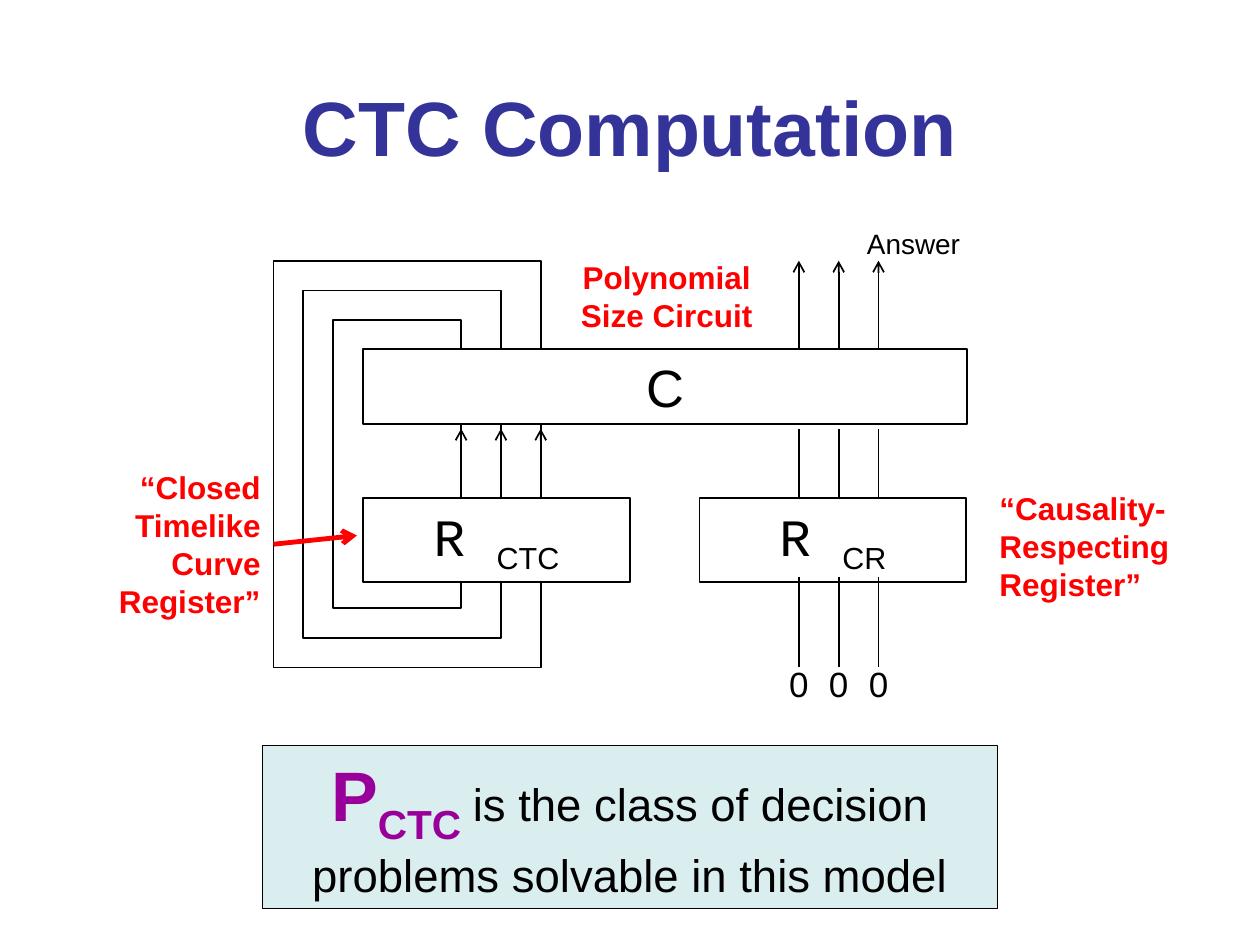
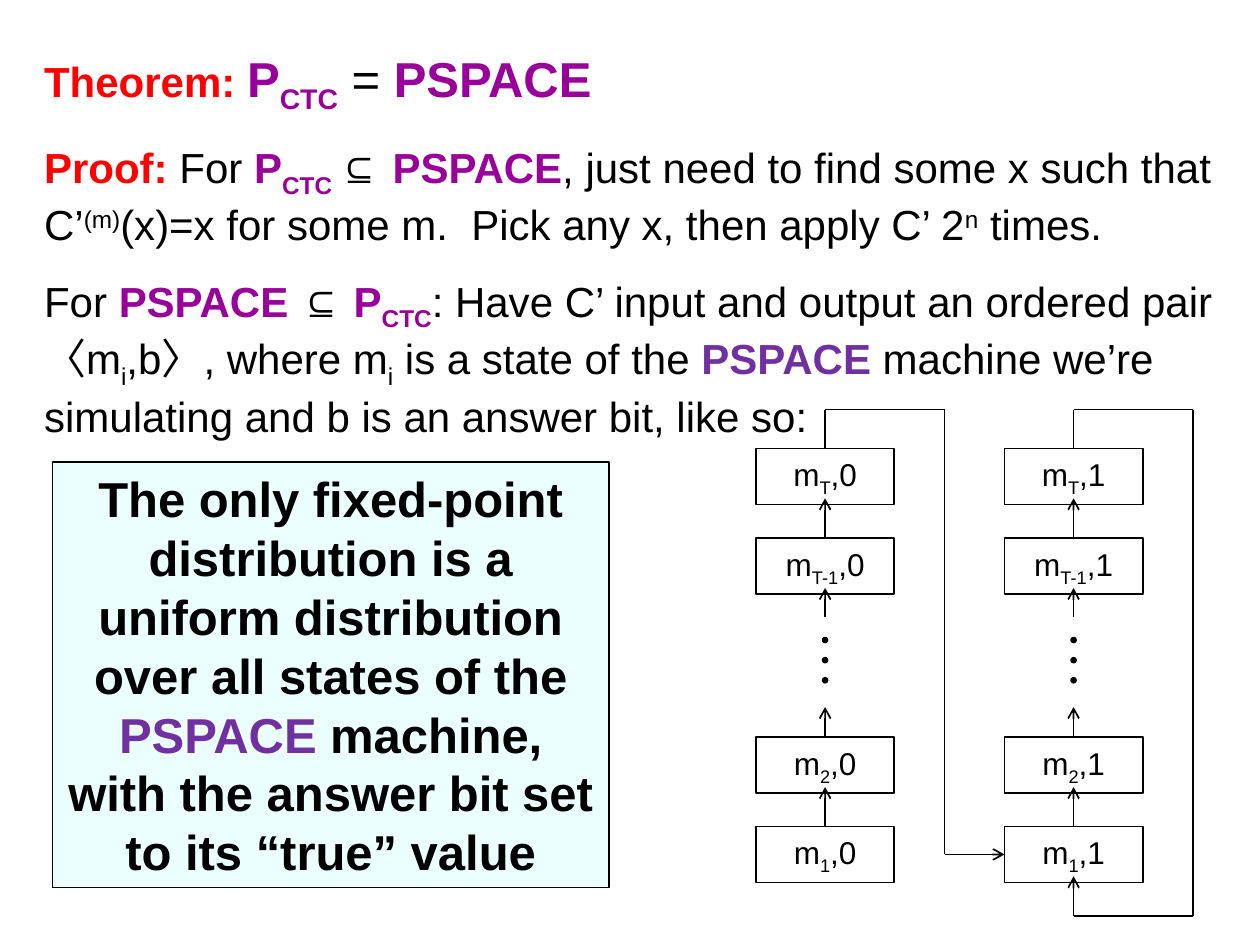
from lxml import etree
from pptx import Presentation
from pptx.dml.color import RGBColor
from pptx.enum import shapes as sh, text as tx
from pptx.oxml import ns
from pptx.util import Pt

BLACK = RGBColor(0x00, 0x00, 0x00)
WHITE = RGBColor(0xFF, 0xFF, 0xFF)
RED = RGBColor(0xFF, 0x00, 0x00)
NAVY = RGBColor(0x33, 0x33, 0x99)
PLUM = RGBColor(0x99, 0x00, 0x99)
GRAPE = RGBColor(0x70, 0x30, 0xA0)
TEAL = RGBColor(0xDA, 0xED, 0xEF)
ICE = RGBColor(0xEB, 0xFF, 0xFF)

LEFT, MID, RIGHT = tx.PP_ALIGN.LEFT, tx.PP_ALIGN.CENTER, tx.PP_ALIGN.RIGHT
TOP, CENTER = tx.MSO_ANCHOR.TOP, tx.MSO_ANCHOR.MIDDLE

BASE = {"name": "Arial", "bold": False, "color": BLACK}
HEAD = {"size": 44, "bold": True, "color": NAVY}
NOTE = {"size": 18, "bold": True, "color": RED}
LEAD = {"bold": True, "color": RED}
CLASS = {"bold": True, "color": PLUM}
BOLD = {"bold": True}
SUB = {"shift": -25}
SUP = {"shift": 30}


def style(run, looks):
    for key, value in looks.items():
        if key == "color":
            run.font.color.rgb = value
        elif key == "shift":
            run._r.get_or_add_rPr().set("baseline", str(value * 1000))
        else:
            setattr(run.font, key, Pt(value) if key == "size" else value)


def write(shape, paras, size=18, align=MID, anchor=CENTER, gap=0):
    """Fill a shape with paragraphs, each a list of (words, looks) runs."""
    frame = shape.text_frame
    form = {"word_wrap": True, "auto_size": tx.MSO_AUTO_SIZE.NONE,
            "vertical_anchor": anchor,
            "margin_left": Pt(7.2), "margin_right": Pt(7.2),
            "margin_top": Pt(3.6), "margin_bottom": Pt(3.6)}
    for key, value in form.items():
        setattr(frame, key, value)
    for i, runs in enumerate(paras):
        para = frame.add_paragraph() if i else frame.paragraphs[0]
        para.alignment = align
        para.space_before = Pt(gap if i else 0)
        for words, looks in runs:
            run = para.add_run()
            run.text = words
            style(run, {**BASE, "size": size, **looks})


def place(shape, *box):
    for key, value in zip(("left", "top", "width", "height"), box):
        setattr(shape, key, Pt(value))


def block(slide, box, fill=None, width=1, kind=sh.MSO_SHAPE.RECTANGLE):
    shape = slide.shapes.add_shape(kind, *map(Pt, box))
    shape.shadow.inherit = False
    if fill is None:
        shape.fill.background()
    else:
        shape.fill.solid()
        shape.fill.fore_color.rgb = fill
    shape.line.color.rgb = BLACK
    shape.line.width = Pt(width)
    return shape


def label(slide, box, words, align=MID, **looks):
    shape = slide.shapes.add_textbox(*map(Pt, box))
    write(shape, [[(words, looks)]], align=align, anchor=TOP)


def wire(slide, start, end, arrow=False, color=BLACK, width=1):
    line = slide.shapes.add_connector(
        sh.MSO_CONNECTOR.STRAIGHT, *map(Pt, (*start, *end)))
    line.line.color.rgb = color
    line.line.width = Pt(width)
    if arrow:
        etree.SubElement(line.line._get_or_add_ln(), ns.qn("a:tailEnd"),
                         type="arrow")
    etree.SubElement(line._element.spPr, ns.qn("a:effectLst"))
    return line


def circuit(deck):
    slide = deck.slides.add_slide(deck.slide_layouts[5])
    title = slide.shapes.title
    place(title, 18, 42, 684, 60)
    write(title, [[("CTC Computation", HEAD)]])

    pitch, inset = 22.75, 17
    for i in range(3):
        left, top = 156.25 + inset * i, 149 + inset * i
        block(slide, (left, top, 309 - pitch * i - left,
                      381.5 - inset * i - top))
    for left, name in ((207.5, "CTC"), (399.75, "CR")):
        box = block(slide, (left, 284.5, 152.5, 48), WHITE)
        write(box, [[("R ", {"name": "Courier New"}), (name, SUB)]], 30)
    gate = block(slide, (207.5, 199.5, 345.25, 43), WHITE)
    write(gate, [[("C", {})]], 30)

    for i in range(3):
        loop, out = 263.5 + pitch * i, 456.5 + pitch * i
        wire(slide, (loop, 284.5), (loop, 245), True)
        wire(slide, (out, 284.5), (out, 245))
        wire(slide, (out, 199.5), (out, 149), True)
        wire(slide, (out, 381), (out, 330))
        label(slide, (out - 17, 375, 34, 32), "0", size=20)

    label(slide, (479.5, 126, 85, 27), "Answer", size=16)
    label(slide, (564, 276, 126, 72), "“Causality-Respecting Register”",
          LEFT, **NOTE)
    label(slide, (30, 264, 126, 94), "“Closed Timelike Curve Register”",
          RIGHT, **NOTE)
    label(slide, (312, 144, 138, 50), "Polynomial Size Circuit", **NOTE)
    wire(slide, (156.25, 311), (204, 306), True, RED, 2.75)

    claim = block(slide, (150, 426, 420, 93), TEAL, 0.75)
    write(claim, [[
        ("P", {**CLASS, "size": 40}), ("CTC", {**CLASS, **SUB, "size": 40}),
        (" ", {"size": 24}),
        ("is the class of decision problems solvable in this model", {})]], 26)


def chain(slide, left, bit):
    """Draw one column of machine states with its exit wire at the top."""
    tall, reach, turn = 32, 28.5, 234
    mid = left + 39.5
    side = mid + 68.25
    tops = {"T": 256.25, "T-1": 307.5, "2": 421.25, "1": 472.25}
    boxes = {}
    for step, top in tops.items():
        boxes[step] = block(slide, (left, top, 79, tall), WHITE)
        write(boxes[step], [[("m", {}), (step, SUB), (f",{bit}", {})]])
    tips = {"T": turn, "T-1": tops["T"] + reach, "2": 404,
            "1": tops["2"] + reach}
    for step, tip in tips.items():
        line = wire(slide, (mid, tops[step]), (mid, tip), step != "T")
        line.begin_connect(boxes[step], 0)
    wire(slide, (mid, 352.75), (mid, tops["T-1"] + reach), True)
    for i in range(3):
        block(slide, (mid - 1.5, 364.25 + 11.5 * i, 3, 3), BLACK, 0.75,
              sh.MSO_SHAPE.OVAL)
    wire(slide, (mid, turn), (side, turn))
    return boxes["1"], mid, side, turn, tops["1"] + reach


def proof(deck):
    slide = deck.slides.add_slide(deck.slide_layouts[1])
    title, body = slide.placeholders
    title._element.getparent().remove(title._element)
    place(body, 18, 24, 684, 232)
    low = {**CLASS, **SUB}
    large = {**CLASS, "size": 28}
    for para in body.text_frame.paragraphs:
        para.text = ""
    write(body, [
        [("Theorem: ", LEAD), ("P", large), ("CTC", {**large, **SUB}),
         (" = ", {"size": 28}), ("PSPACE", large)],
        [("Proof: ", LEAD), ("For ", {}), ("P", CLASS), ("CTC ", low),
         ("⊆ ", BOLD), ("PSPACE", CLASS),
         (", just need to find some x such that C’", {}), ("(m)", SUP),
         ("(x)=x for some m.  Pick any x, then apply C’ 2", {}),
         ("n", SUP), (" times.", {})],
        [("For ", {}), ("PSPACE ", CLASS), ("⊆ ", BOLD), ("P", CLASS),
         ("CTC", low),
         (": Have C’ input and output an ordered pair 〈m", {}), ("i", SUB),
         (",b〉, where m", {}), ("i", SUB), (" is a state of the ", {}),
         ("PSPACE", {"bold": True, "color": GRAPE}),
         (" machine we’re simulating and b is an answer bit, like so:", {})],
    ], 24, LEFT, TOP, 15)
    for para in body.text_frame.paragraphs:
        props = para._p.get_or_add_pPr()
        props.set("marL", "0")
        props.set("indent", "0")
        etree.SubElement(props, ns.qn("a:buNone"))

    point = block(slide, (30, 264, 318, 243), ICE, 0.75)
    write(point, [[
        ("The only fixed-point distribution is a uniform distribution "
         "over all states of the ", BOLD),
        ("PSPACE", {"bold": True, "color": GRAPE}),
        (" machine, with the answer bit set to its “true” value", BOLD)]], 28)

    _, _, side, turn, _ = chain(slide, 432, 0)
    first, mid, edge, _, tip = chain(slide, 574, 1)
    entry, base = 488.25, 523.5
    wire(slide, (side, turn), (side, entry))
    wire(slide, (side, entry), (574, entry), True).end_connect(first, 1)
    wire(slide, (edge, turn), (edge, base))
    wire(slide, (edge, base), (mid, base))
    wire(slide, (mid, base), (mid, tip), True)


def main():
    deck = Presentation()
    deck.slide_width, deck.slide_height = Pt(720), Pt(540)
    circuit(deck)
    proof(deck)
    deck.save("out.pptx")


if __name__ == "__main__":
    main()
